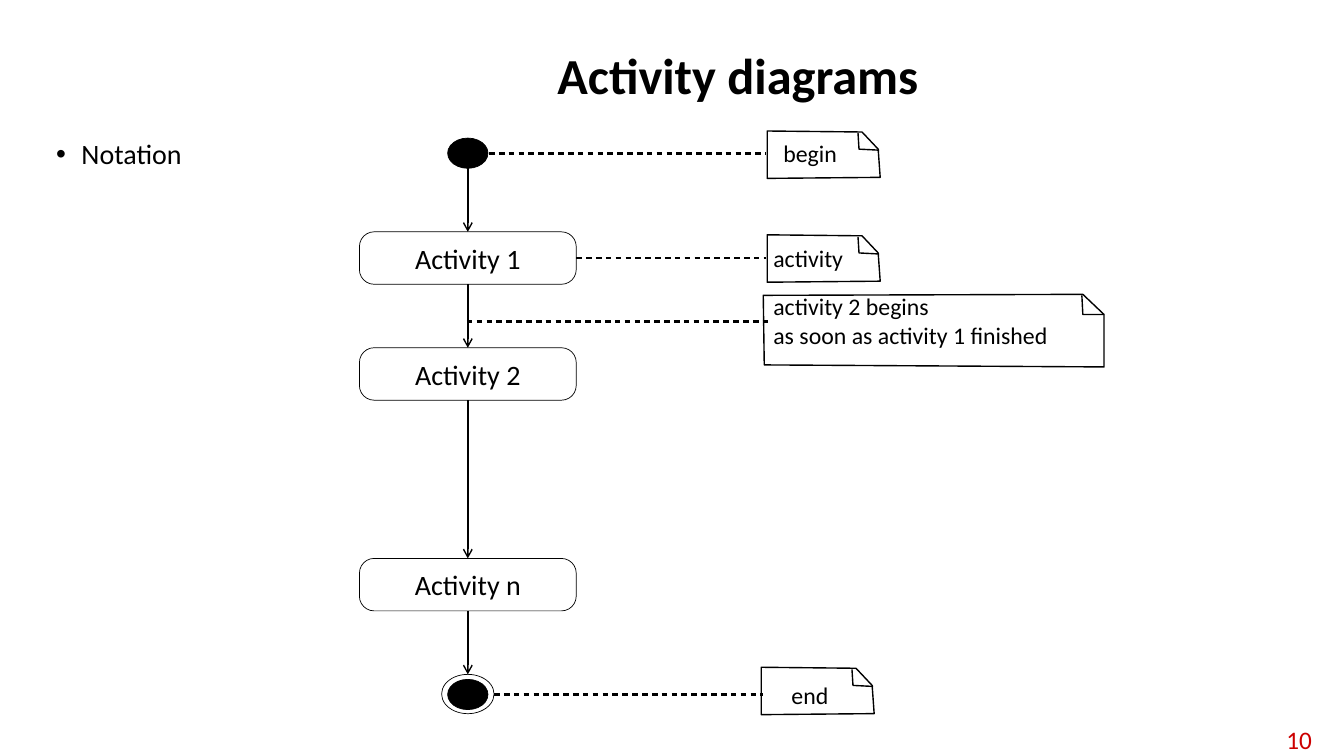
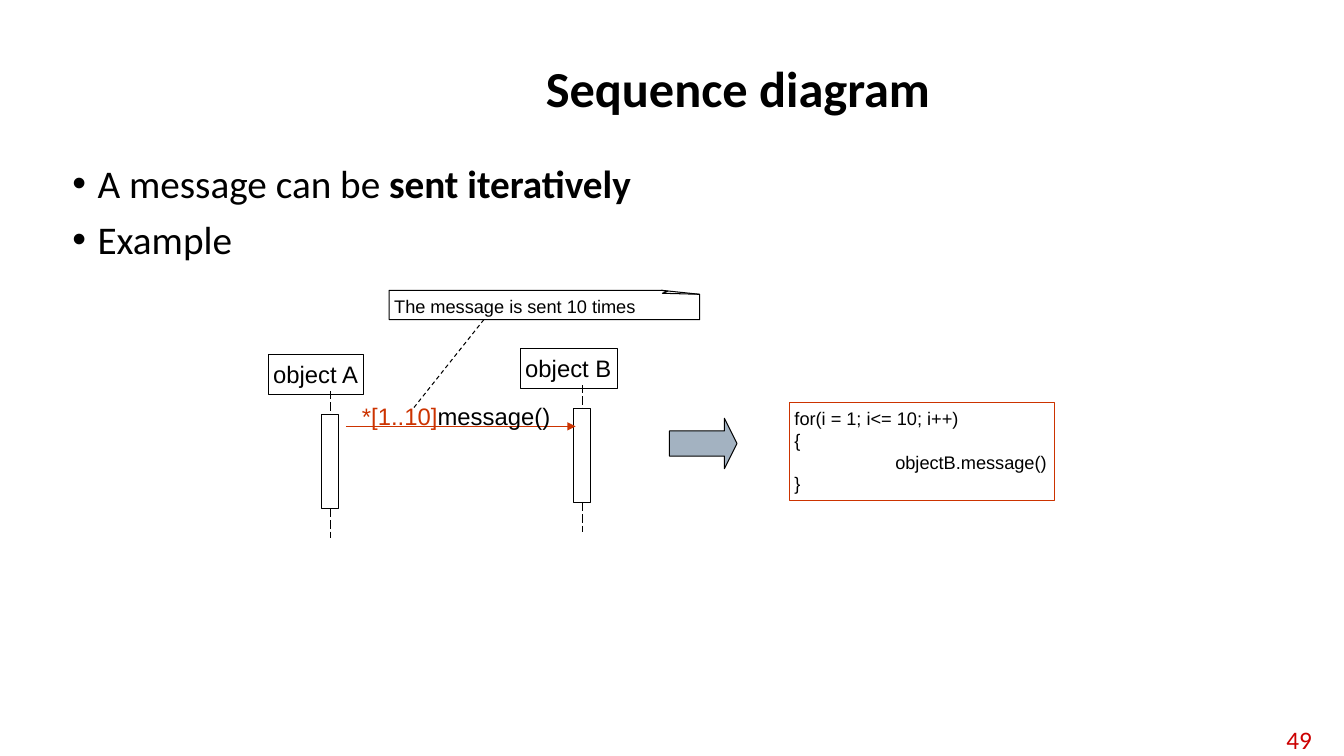
import pptx
import pptx.dml.color
import pptx.enum.dml
import pptx.enum.shapes
import pptx.enum.text
import pptx.oxml.ns
import pptx.util
from lxml import etree

# Shared look; places are counted in cells of a 0.1 inch grid
CELL = pptx.util.Inches(0.1)
BLACK = pptx.dml.color.RGBColor(0x00, 0x00, 0x00)
RED = pptx.dml.color.RGBColor(0xCC, 0x00, 0x00)
ORANGE = pptx.dml.color.RGBColor(0xCC, 0x33, 0x00)
BLUE_GREY = pptx.dml.color.RGBColor(0xA3, 0xB2, 0xC1)
SHAPE = pptx.enum.shapes.MSO_SHAPE
DASH = pptx.enum.dml.MSO_LINE
ALIGN = pptx.enum.text.PP_ALIGN
TOP = pptx.enum.text.MSO_ANCHOR.TOP
MIDDLE = pptx.enum.text.MSO_ANCHOR.MIDDLE
qn = pptx.oxml.ns.qn


def draw(s, kind, cells, width=0.75, line=BLACK, fill=None, dash=None, head=None, closed=False):
    """Add a text box, line, path or preset shape placed in grid cells."""
    at = [int(n * CELL) for n in cells]
    if kind == "text":
        return s.shapes.add_textbox(*at)
    if kind == "line":
        sp = s.shapes.add_connector(pptx.enum.shapes.MSO_CONNECTOR.STRAIGHT, *at)
    elif kind == "path":
        points = list(zip(at[::2], at[1::2]))
        path = s.shapes.build_freeform(*points[0])
        path.add_line_segments(points[1:], close=closed)
        sp = path.convert_to_shape()
    else:
        sp = s.shapes.add_shape(kind, *at)
    if kind != "line":
        if fill is None:
            sp.fill.background()
        else:
            sp.fill.solid()
            sp.fill.fore_color.rgb = fill
    sp.line.color.rgb = line
    sp.line.width = pptx.util.Pt(width)
    ln = sp._element.spPr.find(qn("a:ln"))
    if dash == "dotted":
        dots = etree.SubElement(ln, qn("a:custDash"))
        etree.SubElement(dots, qn("a:ds"), d="200000", sp="150000")
    elif dash is not None:
        sp.line.dash_style = dash
    if head:
        etree.SubElement(ln, qn("a:tailEnd"), type=head)
    etree.SubElement(sp._element.spPr, qn("a:effectLst"))
    return sp


def write(sp, paragraphs, size, font="Calibri", anchor=TOP, align=ALIGN.LEFT,
          inset=None, hug=False, spacing=None, bullet=False, tab=None):
    """Fill a shape with paragraphs, each a list of (text, colour, bold) runs."""
    tf = sp.text_frame
    tf.word_wrap = not hug
    if hug:
        tf.auto_size = pptx.enum.text.MSO_AUTO_SIZE.SHAPE_TO_FIT_TEXT
    tf.vertical_anchor = anchor
    if inset is not None:
        tf.margin_left = tf.margin_right = pptx.util.Inches(inset)
        tf.margin_top = tf.margin_bottom = pptx.util.Inches(inset)
    for i, runs in enumerate(paragraphs):
        p = tf.add_paragraph() if i else tf.paragraphs[0]
        pPr = p._p.get_or_add_pPr()
        if bullet:
            pPr.set("marL", str(pptx.util.Inches(0.25)))
            pPr.set("indent", str(-pptx.util.Inches(0.25)))
            etree.SubElement(pPr, qn("a:buFont"), typeface="Arial")
            etree.SubElement(pPr, qn("a:buChar"), char="•")
            if i:
                p.space_before = pptx.util.Pt(10)
        if tab:
            stops = etree.SubElement(pPr, qn("a:tabLst"))
            etree.SubElement(stops, qn("a:tab"), pos=str(pptx.util.Inches(tab)), algn="l")
        p.alignment = align
        if spacing:
            p.line_spacing = spacing
        for text, colour, bold in runs:
            r = p.add_run()
            r.text = text
            r.font.name = font
            r.font.size = pptx.util.Pt(size)
            r.font.bold = bold
            r.font.color.rgb = colour


prs = pptx.Presentation()
prs.slide_width = pptx.util.Inches(13.33)
prs.slide_height = pptx.util.Inches(7.5)

# Title, bullets and number of each slide
frames = [
    ("Activity diagrams", (22.3, 4.2, 101.8, 7.1), "10",
     [[("Notation", BLACK, False)]], (4.6, 13.4, 119.4, 57), 20),
    ("Sequence diagram", (22.3, 3.95, 101.8, 10.2), "49",
     [[("A message can be ", BLACK, False), ("sent iteratively", BLACK, True)],
      [("Example", BLACK, False)]], (6.2, 15.8, 118, 51.7), 28),
]
for title, title_at, number, bullets, body_at, body_size in frames:
    s = prs.slides.add_slide(prs.slide_layouts[6])
    write(draw(s, "text", title_at), [[(title, BLACK, True)]], 36,
          anchor=MIDDLE, align=ALIGN.CENTER, spacing=0.9)
    write(draw(s, "text", body_at), bullets, body_size, spacing=0.9, bullet=True)
    write(draw(s, "text", (124.2, 71.6, 6.9, 3.6)), [[(number, RED, False)]], 18,
          anchor=MIDDLE, align=ALIGN.RIGHT)
activity, sequence = prs.slides

# Activity diagram: start, activities and end on one axis
AXIS = 46.4
draw(activity, SHAPE.OVAL, (AXIS - 2, 13.7, 4, 3), 0.5, fill=BLACK)
draw(activity, SHAPE.OVAL, (AXIS - 2, 67.4, 4, 3), 0.5, fill=BLACK)
draw(activity, SHAPE.OVAL, (AXIS - 2.6, 66.9, 5.2, 3.9), 0.5)
boxes = []
for name, top in (("Activity 1", 23), ("Activity 2", 34.5), ("Activity n", 55.4)):
    sp = draw(activity, SHAPE.ROUNDED_RECTANGLE, (AXIS - 10.75, top, 21.5, 5.2), 0.5)
    sp.adjustments[0] = 0.28
    write(sp, [[(name, BLACK, False)]], 20, anchor=MIDDLE, align=ALIGN.CENTER, inset=0)
    boxes.append(sp)

# Flow arrows from each step to the next
for before, after in zip([None] + boxes, boxes + [None]):
    flow = draw(activity, "line", (AXIS, 16.7, AXIS, 66.9), 1, head="arrow")
    if before:
        flow.begin_connect(before, 2)
    if after:
        flow.end_connect(after, 0)

# Dotted links from the steps to their notes
links = [(48.5, 15.25, 75.9, None), (57.15, 25.6, 76, boxes[0]),
         (46.3, 31.9, 76.2, None), (49, 68.9, 75.7, None)]
for x1, y, x2, box in links:
    link = draw(activity, "line", (x1, y, x2, y), 2, dash="dotted")
    if box:
        link.begin_connect(box, 3)

# Sequence diagram: objects with their lifelines
for name, x, y, w in (("object A", 26.6, 35.2, 9.5), ("object B", 51.6, 34.6, 9.7)):
    sp = draw(sequence, SHAPE.RECTANGLE, (x, y, w, 3.9))
    write(sp, [[(name, BLACK, False)]], 17, "Arial", inset=0.05, hug=True)
    top, bottom, middle = y + 5.9, y + 15.3, x + 6.15
    bar = draw(sequence, SHAPE.RECTANGLE, (middle - 0.85, top, 1.7, bottom - top))
    upper = draw(sequence, "line", (middle, y + 3.6, middle, top), dash=DASH.LONG_DASH)
    upper.end_connect(bar, 0)
    lower = draw(sequence, "line", (middle, bottom, middle, bottom + 2.9), dash=DASH.LONG_DASH)
    lower.begin_connect(bar, 2)

# Message and the link to its note
draw(sequence, "line", (34.3, 42.3, 57.1, 42.3), line=ORANGE, head="triangle")
write(draw(sequence, "text", (35.4, 39.35, 19.9, 3.9)),
      [[("*[1..10]", ORANGE, False), ("message()", BLACK, False)]], 17, "Arial",
      inset=0.05, hug=True)
draw(sequence, "line", (48, 31.7, 41, 40.5), dash=DASH.DASH)

# Equivalent loop in code
sp = draw(sequence, SHAPE.RIGHT_ARROW, (66.4, 41.5, 6.7, 5), fill=BLUE_GREY)
sp.adjustments[1] = 0.25
code = ["for(i = 1; i<= 10; i++)", "{", "\tobjectB.message()", "}"]
sp = draw(sequence, SHAPE.RECTANGLE, (78.3, 39.9, 26.3, 9.8), line=ORANGE)
write(sp, [[(row, BLACK, False)] for row in code], 13, "Arial", inset=0.05, hug=True, tab=1)

# Notes with a folded corner: outline and fold are relative to the note's corner
SMALL = ((0, 4.7, 0, 0, 9.4, 0.1, 11, 1.8, 11.2, 4.6), (9, 0.2, 9.1, 1.8, 11.1, 1.9))
WIDE = ((0.1, 7, 0, 0.1, 31.7, 0, 33.8, 2, 33.8, 7.2), (31.6, 0.1, 31.7, 2, 33.8, 2))
FLAT = ((0, 2.9, 0, 0, 27, 0, 30.8, 0.4, 30.8, 2.9), (30.8, 0.4, 27.1, 0.3, 27.6, 0.1, 27, 0))
notes = [
    (activity, SMALL, 76.1, 13, ["begin"], (77.1, 13.2, 8, 4)),
    (activity, SMALL, 76.1, 23.3, ["activity"], (76.1, 23.6, 9.5, 4)),
    (activity, WIDE, 75.7, 29.2, ["activity 2 begins", "as soon as activity 1 finished"],
     (76.1, 28.4, 30, 6.8)),
    (activity, SMALL, 75.5, 66.2, ["end"], (77.9, 66.9, 6, 4)),
    (sequence, FLAT, 38.6, 28.8, ["The message is sent 10 times"], (38.6, 28.8, 27, 3.2)),
]
for s, parts, x, y, rows, text_at in notes:
    size, font, anchor, inset, width = 17, "Calibri", MIDDLE, 0.06, 1
    if parts is FLAT:
        size, font, anchor, inset, width = 13, "Arial", TOP, 0.05, 0.75
    for part in parts:
        cells = [n + (y if i % 2 else x) for i, n in enumerate(part)]
        draw(s, "path", cells, width, closed=part is parts[0])
    write(draw(s, "text", text_at), [[(row, BLACK, False)] for row in rows], size, font,
          anchor=anchor, inset=inset)

prs.save("out.pptx")
